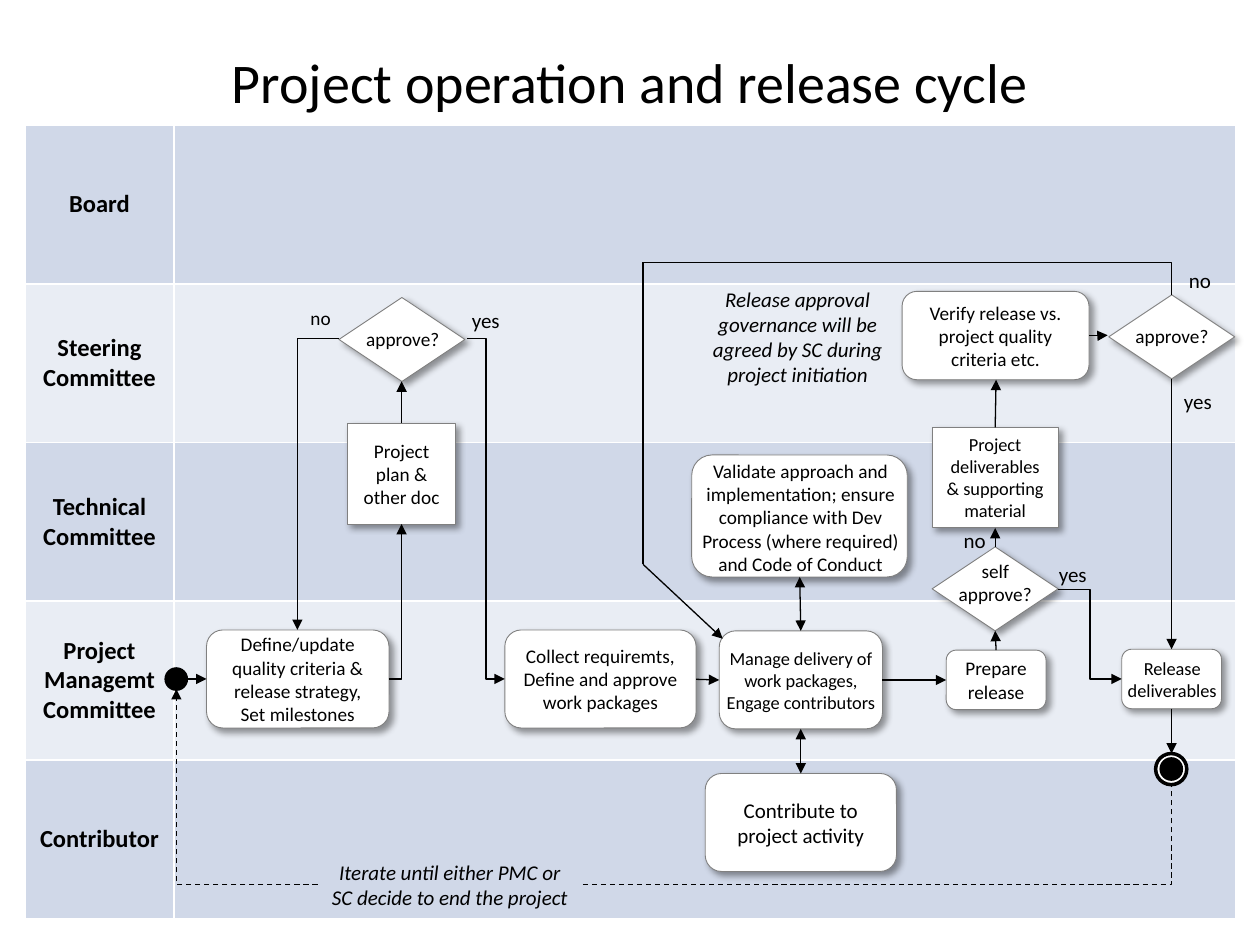
import pptx
import pptx.util
import pptx.dml.color
import pptx.enum.dml
import pptx.enum.shapes
import pptx.enum.text
import lxml.etree
import pptx.oxml
import pptx.oxml.ns

Pt = pptx.util.Pt
SHAPE = pptx.enum.shapes.MSO_SHAPE
CONNECTOR = pptx.enum.shapes.MSO_CONNECTOR
ANCHOR = pptx.enum.text.MSO_ANCHOR
qn = pptx.oxml.ns.qn
BLACK = pptx.dml.color.RGBColor(0, 0, 0)
WHITE = pptx.dml.color.RGBColor(255, 255, 255)
GREY = pptx.dml.color.RGBColor(0x80, 0x80, 0x80)
LANE_DARK = pptx.dml.color.RGBColor(0xD0, 0xD8, 0xE8)
LANE_LIGHT = pptx.dml.color.RGBColor(0xE9, 0xED, 0xF4)
SHADOW = (
    '<a:effectLst xmlns:a="http://schemas.openxmlformats.org/drawingml/2006/main">'
    '<a:outerShdw blurRad="50800" dist="38100" dir="2700000" algn="tl" rotWithShape="0">'
    '<a:srgbClr val="000000"><a:alpha val="40000"/></a:srgbClr>'
    '</a:outerShdw></a:effectLst>'
)


def write(frame, lines, size, bold=False, italic=False, anchor=ANCHOR.MIDDLE):
    frame.word_wrap = True
    frame.vertical_anchor = anchor
    for index, line in enumerate(lines):
        paragraph = frame.add_paragraph() if index else frame.paragraphs[0]
        paragraph.alignment = pptx.enum.text.PP_ALIGN.CENTER
        run = paragraph.add_run()
        run.text = line
        run.font.name = "Calibri"
        run.font.size = Pt(size)
        run.font.bold = bold
        run.font.italic = italic
        run.font.color.rgb = BLACK


presentation = pptx.Presentation()
presentation.slide_width = Pt(720)
presentation.slide_height = Pt(540)
slide = presentation.slides.add_slide(presentation.slide_layouts[5])

title = slide.shapes.title
title.left, title.top, title.width, title.height = Pt(36), Pt(21.6), Pt(648), Pt(49.7)
write(title.text_frame, ["Project operation and release cycle"], 32)

lanes = ["Board", "Steering Committee", "Technical Committee",
         "Project Managemt Committee", "Contributor"]
table = slide.shapes.add_table(5, 2, Pt(14.4), Pt(71.5), Pt(691.8), Pt(453.5)).table
table.first_row = False
table.horz_banding = False
table.columns[0].width = Pt(85)
table.columns[1].width = Pt(606.8)
for row, lane in enumerate(lanes):
    table.rows[row].height = Pt(90.7)
    for column in range(2):
        cell = table.cell(row, column)
        cell.fill.solid()
        cell.fill.fore_color.rgb = LANE_LIGHT if row % 2 else LANE_DARK
    write(table.cell(row, 0).text_frame, [lane], 14, bold=True)
    table.cell(row, 0).vertical_anchor = ANCHOR.MIDDLE

STEP = SHAPE.FLOWCHART_ALTERNATE_PROCESS
DOCUMENT = SHAPE.FLOWCHART_PROCESS
DECISION = SHAPE.FLOWCHART_DECISION
boxes = [
    (DOCUMENT, 198.5, 242, 62, 57.5, 11, ["Project plan & other doc"]),
    (STEP, 540.7, 371.5, 57, 34, 11, ["Prepare release"]),
    (STEP, 515.5, 166.5, 106.8, 50.5, 11, ["Verify release vs. project quality criteria etc."]),
    (STEP, 395.3, 260, 123.2, 69.7, 11, []),
    (STEP, 411, 360.5, 93.3, 56, 11, []),
    (STEP, 403, 442, 109.3, 56, 12, ["Contribute to project activity"]),
    (STEP, 118, 360, 104.3, 56, 11,
     ["Define/update quality criteria & release strategy,", "Set milestones"]),
    (DECISION, 193.7, 170, 72, 48, 11, []),
    (STEP, 288.5, 360, 109.3, 56, 11,
     ["Collect requiremts,", "Define and approve work packages"]),
    (DOCUMENT, 532.7, 244.2, 72, 57.5, 10.5, ["Project deliverables & supporting material"]),
    (DECISION, 633.6, 168.5, 72, 48, 11, []),
    (STEP, 641, 371, 57, 34, 10.5, []),
    (DECISION, 532.7, 312.5, 72, 48, 11, []),
]
for kind, left, top, width, height, size, lines in boxes:
    box = slide.shapes.add_shape(kind, Pt(left), Pt(top), Pt(width), Pt(height))
    box.fill.solid()
    box.fill.fore_color.rgb = WHITE
    box.line.color.rgb = GREY
    box.line.width = Pt(0.5)
    box.element.spPr.append(pptx.oxml.parse_xml(SHADOW))
    write(box.text_frame, lines, size)

for left, top, diameter, colour in [
    (95, 382.3, 11.5, BLACK),
    (660.4, 430.6, 17.8, WHITE),
    (663.6, 433.7, 11.5, BLACK),
]:
    marker = slide.shapes.add_shape(
        SHAPE.FLOWCHART_CONNECTOR, Pt(left), Pt(top), Pt(diameter), Pt(diameter))
    marker.shadow.inherit = False
    marker.fill.solid()
    marker.fill.fore_color.rgb = colour
    marker.line.color.rgb = BLACK
    marker.line.width = Pt(2)

STRAIGHT, CORNER, STEPPED = "line", "bentConnector2", "bentConnector3"
TAIL, BOTH = ["tailEnd"], ["headEnd", "tailEnd"]
flows = [
    (STRAIGHT, 106.5, 388, 118, 388, TAIL, False),
    (STRAIGHT, 397.8, 388.2, 411, 388.6, TAIL, False),
    (CORNER, 222.3, 388, 229.5, 299.5, TAIL, False),
    (STRAIGHT, 229.5, 242, 229.5, 218, TAIL, False),
    (CORNER, 193.7, 193.5, 170, 360, TAIL, False),
    (STRAIGHT, 457.6, 416.5, 457.6, 442, BOTH, False),
    (STEPPED, 504.3, 388.6, 540.7, 388.6, TAIL, False),
    (STEPPED, 267, 193.5, 288.5, 388, TAIL, False),
    (STRAIGHT, 457, 329.7, 457.6, 360.5, BOTH, False),
    (STRAIGHT, 569.2, 371.5, 568.7, 360.5, TAIL, False),
    (STRAIGHT, 568.7, 244.2, 569.2, 217, TAIL, False),
    (STEPPED, 622.3, 191.9, 633, 191.6, TAIL, False),
    (CORNER, 367.5, 150, 669.5, 168.5, [], False),
    (STRAIGHT, 669.5, 216.5, 669.5, 371, TAIL, False),
    (STRAIGHT, 669.5, 405, 669.5, 430.6, TAIL, False),
    (STRAIGHT, 367.5, 150, 367.5, 322.5, [], False),
    (STRAIGHT, 367.5, 322.5, 413, 365, TAIL, False),
    (STRAIGHT, 568.7, 312.5, 568.7, 301.7, TAIL, False),
    (STEPPED, 604.7, 336.7, 641, 388, TAIL, False),
    (CORNER, 181.5, 505.5, 100.8, 393.8, TAIL, True),
    (CORNER, 333, 505.5, 669.5, 448.2, [], True),
]
for kind, begin_x, begin_y, end_x, end_y, arrows, dashed in flows:
    flow = slide.shapes.add_connector(
        CONNECTOR.STRAIGHT if kind == STRAIGHT else CONNECTOR.ELBOW,
        Pt(begin_x), Pt(begin_y), Pt(end_x), Pt(end_y))
    flow.line.color.rgb = BLACK
    flow.line.width = Pt(0.75)
    if dashed:
        flow.line.dash_style = pptx.enum.dml.MSO_LINE.DASH
    properties = flow.element.spPr
    properties.find(qn("a:prstGeom")).set("prst", kind)
    for end in arrows:
        lxml.etree.SubElement(properties.find(qn("a:ln")), qn("a:" + end)).set("type", "triangle")
    lxml.etree.SubElement(properties, qn("a:effectLst"))

TOP, MIDDLE = ANCHOR.TOP, ANCHOR.MIDDLE
labels = [
    (667.5, 218.2, 34, 21.8, 12, False, TOP, "yes"),
    (668.7, 149.5, 34, 21.8, 12, False, TOP, "no"),
    (260.6, 172.3, 34, 21.8, 12, False, TOP, "yes"),
    (166.2, 171.5, 34, 20.6, 11, False, TOP, "no"),
    (193.5, 183.2, 73.4, 20.6, 11, False, TOP, "approve?"),
    (403, 365.8, 109.4, 45.4, 10.5, False, MIDDLE,
     "Manage delivery of work packages, Engage contributors"),
    (391.6, 258.5, 131.8, 74.2, 11, False, MIDDLE,
     "Validate approach and implementation; ensure compliance with Dev Process "
     "(where required) and Code of Conduct"),
    (633, 181.7, 73.4, 20.6, 11, False, TOP, "approve?"),
    (635, 371, 69.8, 33.8, 10.5, False, MIDDLE, "Release deliverables"),
    (181.5, 487.4, 151.2, 36, 12, True, TOP,
     "Iterate until either PMC or SC decide to end the project"),
    (532, 316, 73.4, 33.8, 11, False, TOP, "self approve?"),
    (596, 317.5, 34, 21.8, 12, False, TOP, "yes"),
    (540, 298, 34, 21.8, 12, False, TOP, "no"),
    (386, 160, 139.7, 65.5, 12, True, TOP,
     "Release approval governance will be agreed by SC during project initiation"),
]
for left, top, width, height, size, italic, anchor, text in labels:
    label = slide.shapes.add_textbox(Pt(left), Pt(top), Pt(width), Pt(height))
    write(label.text_frame, [text], size, italic=italic, anchor=anchor)
    label.text_frame.auto_size = pptx.enum.text.MSO_AUTO_SIZE.SHAPE_TO_FIT_TEXT

presentation.save("out.pptx")
